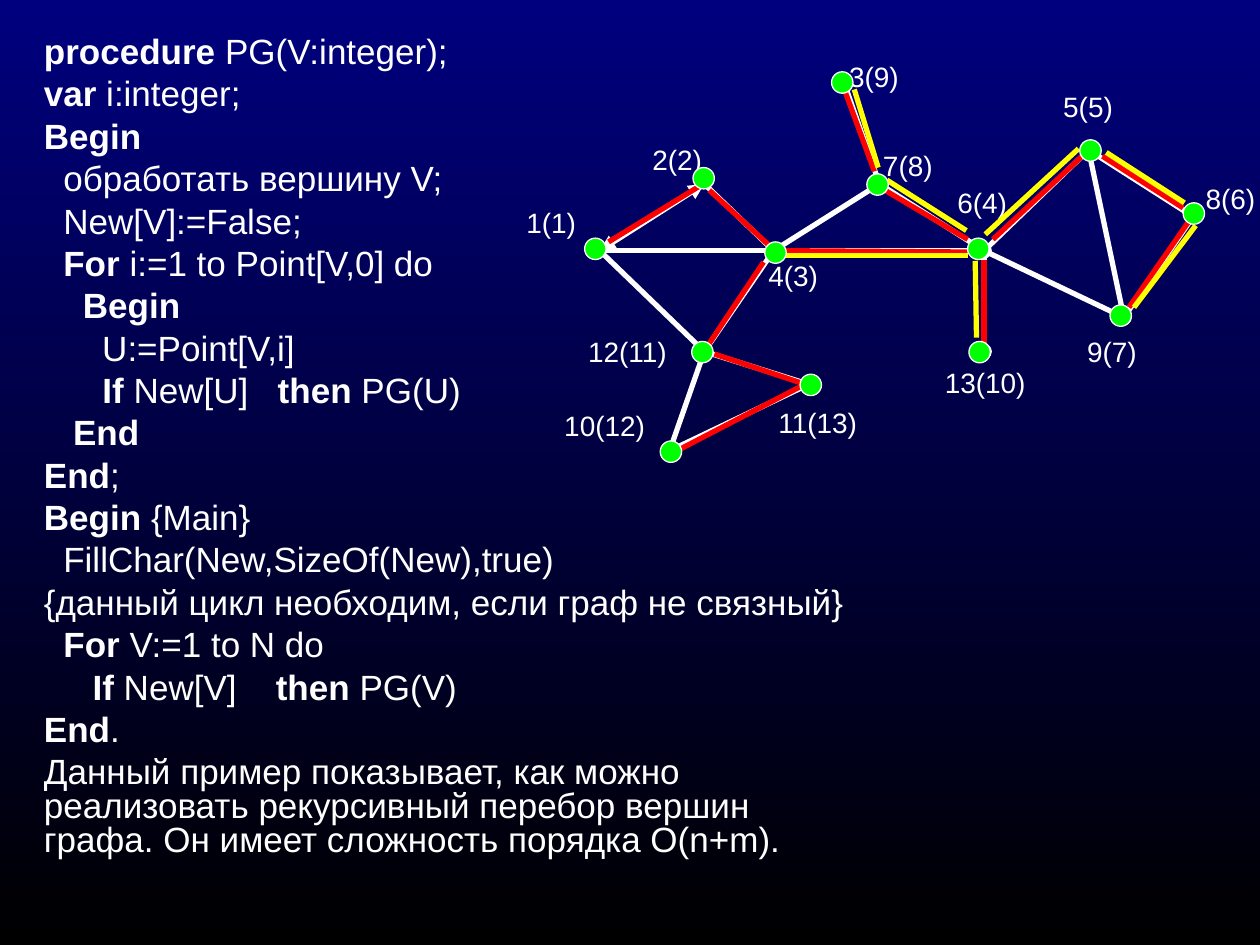
from dataclasses import dataclass

from lxml import etree
from pptx import Presentation
from pptx import util as u
from pptx.dml.color import RGBColor
from pptx.enum import shapes
from pptx.oxml import ns

PX = u.Inches(1) // 100


@dataclass(frozen=True)
class Theme:
    font: str = "Arial"
    code_size: int = 20
    label_size: int = 16
    text: str = "FFFFFF"
    edge: str = "FFFFFF"
    forward: str = "FF0000"
    back: str = "FFFF00"
    vertex: str = "00FF00"
    top: str = "00007E"
    bottom: str = "000000"
    stroke: float = 3
    outline: float = 0.75


@dataclass(frozen=True)
class Edge:
    x1: int
    y1: int
    x2: int
    y2: int
    head: str = ""
    tail: str = ""


@dataclass(frozen=True)
class Vertex:
    left: int
    top: int
    label: str
    label_left: int
    label_top: int
    label_width: int = 94


THEME = Theme()
VERTEX_SIZE = 17
LABEL_HEIGHT = 73

# Asterisks switch bold on and off.
PROGRAM = """*procedure* PG(V:integer);
*var* i:integer;
*Begin*
  обработать вершину V;
  New[V]:=False;
*  For* i:=1 to Point[V,0] do
    *Begin*
      U:=Point[V,i]
      *If* New[U]   *then* PG(U)
   *End*
*End*;
*Begin* {Main}
  FillChar(New,SizeOf(New),true)
{данный цикл необходим, если граф не связный}
  *For* V:=1 to N do
     *If* New[V]    *then* PG(V)
*End*.
Данный пример показывает, как можно реализовать рекурсивный перебор вершин графа. \
Он имеет сложность порядка O(n+m)."""

EDGES = [
    Edge(476, 199, 559, 146, "triangle", "triangle"),
    Edge(614, 199, 698, 146, "oval", "oval"),
    Edge(559, 146, 614, 199),
    Edge(476, 199, 614, 199),
    Edge(670, 66, 698, 146, "oval"),
    Edge(698, 146, 781, 199, tail="oval"),
    Edge(614, 199, 781, 199),
    Edge(531, 359, 559, 279, "oval", "oval"),
    Edge(476, 199, 559, 279),
    Edge(614, 199, 559, 279),
    Edge(559, 279, 642, 305, tail="oval"),
    Edge(531, 358, 642, 305),
    Edge(781, 199, 781, 279, tail="oval"),
    Edge(781, 199, 864, 119, tail="oval"),
    Edge(864, 119, 947, 172, tail="oval"),
    Edge(781, 199, 892, 252, tail="oval"),
    Edge(947, 172, 892, 252),
    Edge(864, 119, 892, 252),
]

FORWARD_STEPS = [
    Edge(483, 192, 558, 146),
    Edge(781, 206, 781, 279),
    Edge(624, 199, 768, 200),
    Edge(788, 190, 861, 122),
    Edge(875, 124, 939, 165),
    Edge(896, 244, 944, 175),
    Edge(699, 149, 768, 190),
    Edge(669, 68, 694, 136),
    Edge(563, 151, 615, 199),
    Edge(606, 208, 562, 274),
    Edge(567, 281, 642, 306),
    Edge(635, 307, 531, 361),
]

BACK_STEPS = [
    Edge(900, 244, 949, 179),
    Edge(940, 161, 878, 121),
    Edge(782, 186, 856, 118),
    Edge(697, 133, 678, 71),
    Edge(767, 183, 704, 143),
    Edge(775, 268, 774, 207),
    Edge(621, 203, 768, 203),
]

VERTICES = [
    Vertex(464, 189, "1(1)", 408, 158),
    Vertex(550, 133, "2(2)", 508, 108),
    Vertex(660, 57, "3(9)", 664, 42),
    Vertex(607, 192, "4(3)", 600, 200),
    Vertex(857, 111, "5(5)", 834, 66),
    Vertex(768, 189, "6(4)", 750, 142),
    Vertex(688, 138, "7(8)", 691, 113),
    Vertex(939, 161, "8(6)", 947, 139),
    Vertex(881, 242, "9(7)", 853, 261),
    Vertex(524, 350, "10(12)", 438, 319, 106),
    Vertex(635, 297, "11(13)", 608, 317, 102),
    Vertex(549, 271, "12(11)", 457, 261, 113),
    Vertex(769, 271, "13(10)", 740, 285, 113),
]


def rgb(value: str) -> RGBColor:
    return RGBColor.from_string(value)


def set_font(font, size: int) -> None:
    font.name = THEME.font
    font.size = u.Pt(size)
    font.color.rgb = rgb(THEME.text)


def add_frame(slide, left: int, top: int, width: int, height: int):
    frame = slide.shapes.add_textbox(left * PX, top * PX, width * PX, height * PX).text_frame
    frame.word_wrap = True
    return frame


def paint_background(slide) -> None:
    fill = slide.background.fill
    fill.gradient()
    fill.gradient_angle = 270
    for stop, color in zip(fill.gradient_stops, (THEME.top, THEME.bottom)):
        stop.color.rgb = rgb(color)


def draw_program(slide) -> None:
    frame = add_frame(slide, 25, 25, 658, 692)
    for number, source in enumerate(PROGRAM.split("\n")):
        statement = frame.add_paragraph() if number else frame.paragraphs[0]
        statement.line_spacing = 0.8
        statement.space_before = u.Pt(5 if number else 0)
        set_font(statement.font, THEME.code_size)
        for part, words in enumerate(source.split("*")):
            if words:
                run = statement.add_run()
                run.text = words
                run.font.bold = part % 2 == 1


def draw_edge(slide, edge: Edge, color: str) -> None:
    line = slide.shapes.add_connector(
        shapes.MSO_CONNECTOR.STRAIGHT,
        edge.x1 * PX, edge.y1 * PX, edge.x2 * PX, edge.y2 * PX)
    line.line.color.rgb = rgb(color)
    line.line.width = u.Pt(THEME.stroke)
    properties = line.line._get_or_add_ln()
    for tag, ending in (("a:headEnd", edge.head), ("a:tailEnd", edge.tail)):
        if ending:
            etree.SubElement(properties, ns.qn(tag), type=ending)
    etree.SubElement(line._element.spPr, ns.qn("a:effectLst"))


def draw_label(slide, vertex: Vertex) -> None:
    frame = add_frame(slide, vertex.label_left, vertex.label_top, vertex.label_width, LABEL_HEIGHT)
    caption = frame.paragraphs[0]
    caption.text = vertex.label
    set_font(caption.font, THEME.label_size)


def draw_vertex(slide, vertex: Vertex) -> None:
    dot = slide.shapes.add_shape(
        shapes.MSO_SHAPE.OVAL,
        vertex.left * PX, vertex.top * PX, VERTEX_SIZE * PX, VERTEX_SIZE * PX)
    dot.shadow.inherit = False
    dot.fill.solid()
    dot.fill.fore_color.rgb = rgb(THEME.vertex)
    dot.line.color.rgb = rgb(THEME.edge)
    dot.line.width = u.Pt(THEME.outline)


def main() -> None:
    deck = Presentation()
    deck.slide_width, deck.slide_height = 1000 * PX, 750 * PX
    slide = deck.slides.add_slide(deck.slide_layouts[6])
    paint_background(slide)
    draw_program(slide)
    for edge in EDGES:
        draw_edge(slide, edge, THEME.edge)
    for vertex in VERTICES:
        draw_label(slide, vertex)
    for steps, color in ((FORWARD_STEPS, THEME.forward), (BACK_STEPS, THEME.back)):
        for step in steps:
            draw_edge(slide, step, color)
    for vertex in VERTICES:
        draw_vertex(slide, vertex)
    deck.save("out.pptx")


if __name__ == "__main__":
    main()
